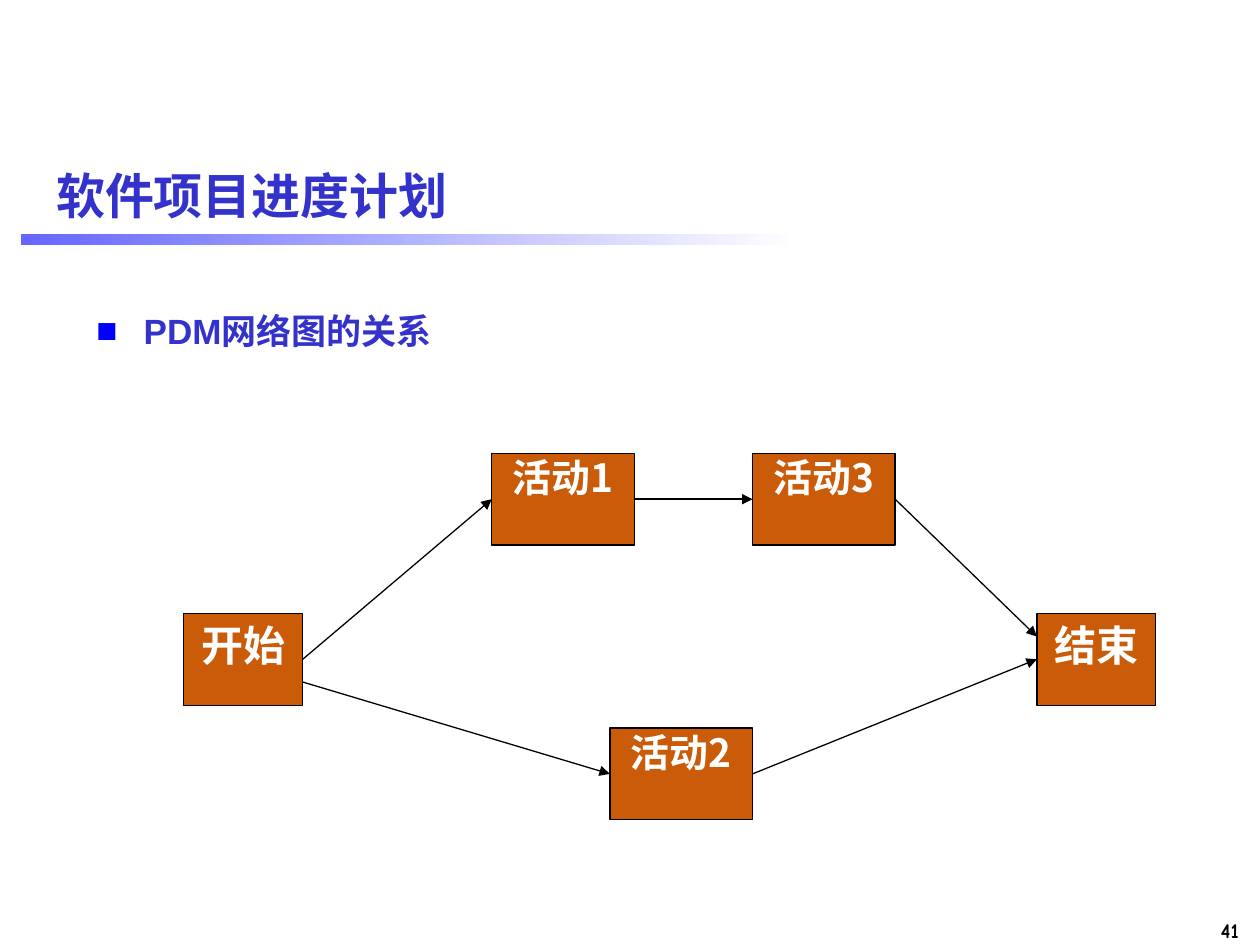
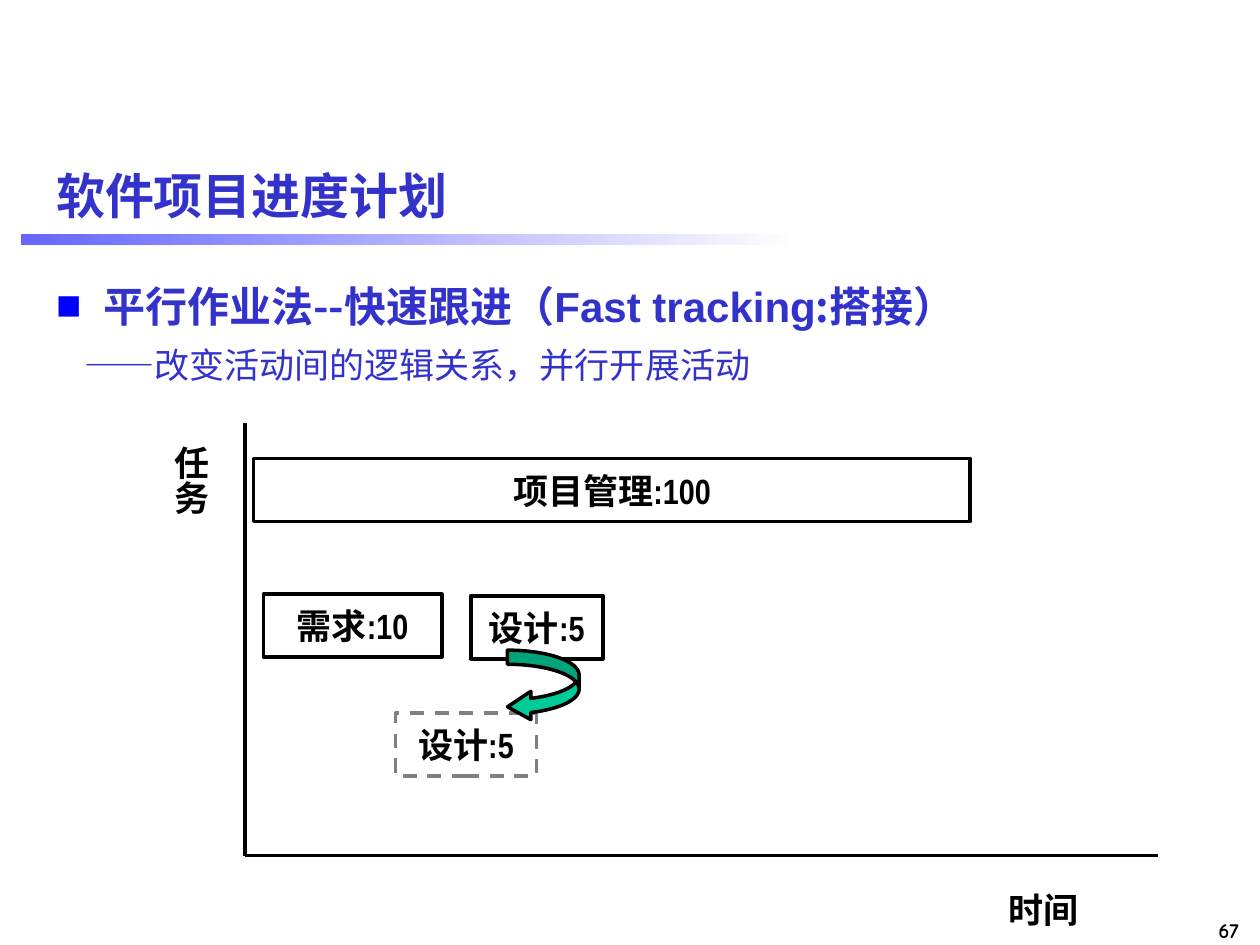
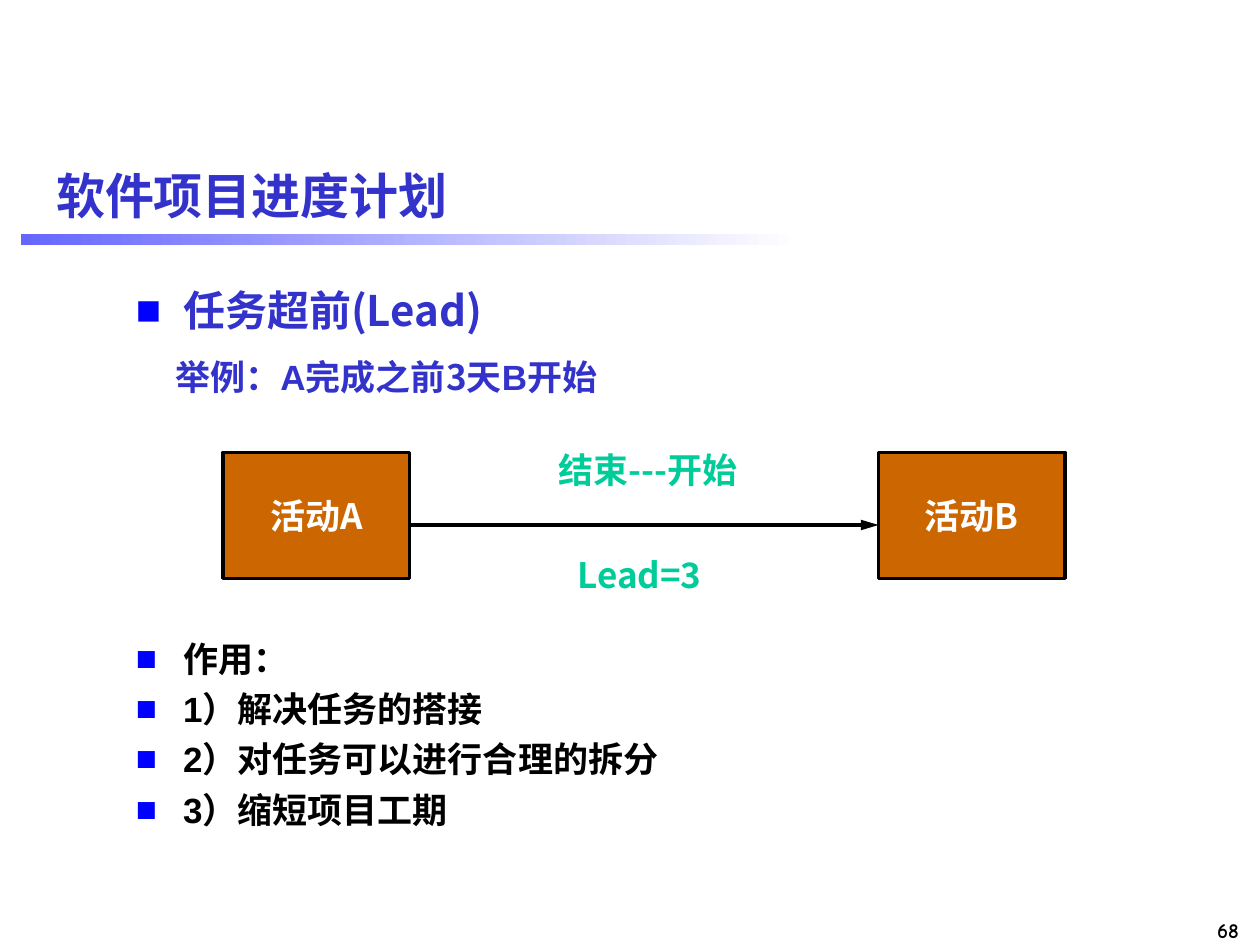
"""Builds three slides on software project scheduling."""
from lxml import etree
from pptx import Presentation
from pptx.dml.color import RGBColor
from pptx.enum import dml, shapes, text
from pptx.oxml import ns
from pptx.util import Pt

BLUE, BULLET_BLUE, BLACK, WHITE, GREEN = "3333CC", "0000FF", "000000", "FFFFFF", "00CC99"
RUST, ORANGE, GREY = "CA5B08", "CC6600", "808080"
CJK, LATIN, NARROW, ROUND = "Noto Sans CJK SC", "Arial", "Arial Narrow", "Comic Neue"
TOP, MIDDLE = text.MSO_ANCHOR.TOP, text.MSO_ANCHOR.MIDDLE
LEFT, CENTER, RIGHT = text.PP_ALIGN.LEFT, text.PP_ALIGN.CENTER, text.PP_ALIGN.RIGHT

TITLE = "软件项目进度计划"
HANGING = 27

PDM_HEADING = [dict(words="PDM网络图的关系", size=20, color=BLUE, bullet=True)]
ACTIVITIES = {
    "开始": dict(at=(105, 350.5, 68, 52.5), size=24),
    "活动1": dict(at=(281, 259, 81.5, 52.5), size=22.2, spacing=0.9),
    "活动3": dict(at=(430, 259, 81.5, 52.5), size=22.2, spacing=0.9),
    "活动2": dict(at=(348.5, 416, 81.5, 52.5), size=22.2, spacing=0.9),
    "结束": dict(at=(592.5, 350.5, 68, 52.5), size=24),
}
DEPENDENCIES = [
    ("开始", "活动2", 13, 0),
    ("开始", "活动1", 0, 0),
    ("活动1", "活动3", 0, 0),
    ("活动2", "结束", 0, 0),
    ("活动3", "结束", 0, -13),
]

TRACKING_HEADING = [
    dict(words=[("平行作业法--快速跟进（", CJK), ("Fast tracking", LATIN), (":搭接）", CJK)],
         size=24, color=BLUE, bullet=True),
    dict(words=[("——", LATIN), ("改变活动间的逻辑关系，并行开展活动", CJK)],
         size=20, color=BLUE, bold=False, before=7.5, indent=16),
]
AXES = [((140, 242), (140, 489)), ((140, 489), (662, 489))]
TASKS = [
    ("项目管理:100", (145, 262, 409.5, 36), BLACK),
    ("需求:10", (150.5, 339.5, 102, 36), BLACK),
    ("设计:5", (269, 340.5, 75.5, 36), BLACK),
    ("设计:5", (226, 407.5, 80.5, 36), GREY),
]
AXIS_LABELS = [("任务", (86.5, 247.5, 38, 155), True), ("时间", (521, 504, 150.5, 32), False)]
SHIFT_ARROW = (290, 371.5, 41, 40.5)

LEAD_HEADING = [
    dict(words="任务超前(Lead)", font=CJK, size=24, color=BLUE, bullet=True),
    dict(words=[("举例：A", LATIN), ("完成之前3天", CJK), ("B", LATIN), ("开始", CJK)],
         size=20, color=BLUE, before=11.8, indent=22.5),
]
EFFECTS = ["作用：", "1）解决任务的搭接", "2）对任务可以进行合理的拆分", "3）缩短项目工期"]
LEAD_BOXES = [("活动A", (127.5, 258.5, 106.5, 72)), ("活动B", (502, 258.5, 106.5, 72))]
LEAD_ARROW = ((234, 300), (502, 300))
LEAD_LABELS = [("结束---开始", (269.5, 252.5, 202, 32)), ("Lead=3", (264.5, 312.5, 202, 32))]


def rgb(code):
    return RGBColor.from_string(code)


def child(parent, tag, **attributes):
    return etree.SubElement(parent, ns.qn(tag), attributes)


def write(paragraph, words, font=LATIN, size=20, color=BLACK, bold=True, align=LEFT,
          before=0, spacing=None, bullet=False, indent=0):
    properties = paragraph._p.get_or_add_pPr()
    margin = HANGING if bullet else indent
    properties.set("marL", str(int(Pt(margin))))
    properties.set("indent", str(int(Pt(-HANGING if bullet else 0))))
    if bullet:
        child(child(properties, "a:buClr"), "a:srgbClr", val=BULLET_BLUE)
        child(properties, "a:buFont", typeface=LATIN)
        child(properties, "a:buChar", char="■")
    paragraph.alignment = align
    if before:
        paragraph.space_before = Pt(before)
    if spacing:
        paragraph.line_spacing = spacing
    for part, typeface in [(words, font)] if isinstance(words, str) else words:
        run = paragraph.add_run()
        run.text = part
        run.font.name, run.font.size, run.font.bold = typeface, Pt(size), bold
        run.font.color.rgb = rgb(color)
        child(run._r.get_or_add_rPr(), "a:ea", typeface=CJK)


def fill_frame(frame, paragraphs, anchor=TOP, wrap=True):
    frame.word_wrap, frame.vertical_anchor = wrap, anchor
    for number, paragraph in enumerate(paragraphs):
        write(frame.add_paragraph() if number else frame.paragraphs[0], **paragraph)


def add_text(slide, at, paragraphs, anchor=TOP):
    box = slide.shapes.add_textbox(*map(Pt, at))
    fill_frame(box.text_frame, paragraphs, anchor)
    return box


def add_block(slide, at, fill=None, line=None, width=2, kind=shapes.MSO_SHAPE.RECTANGLE):
    block = slide.shapes.add_shape(kind, *map(Pt, at))
    block.shadow.inherit = False
    if fill:
        block.fill.solid()
        block.fill.fore_color.rgb = rgb(fill)
    else:
        block.fill.background()
    if line:
        block.line.color.rgb, block.line.width = rgb(line), Pt(width)
    else:
        block.line.fill.background()
    return block


def add_line(slide, start, end, width=2, head=None):
    line = slide.shapes.add_connector(shapes.MSO_CONNECTOR.STRAIGHT, *map(Pt, (*start, *end)))
    line.line.color.rgb, line.line.width = rgb(BLACK), Pt(width)
    if head:
        child(line.line._get_or_add_ln(), "a:tailEnd", type="triangle", w="med", len=head)
    child(line._element.spPr, "a:effectLst")
    return line


def add_base(deck, number):
    slide = deck.slides.add_slide(deck.slide_layouts[6])
    add_text(slide, (649, 521, 66, 22),
             [dict(words=number, font=ROUND, size=12, align=RIGHT)])
    band = add_block(slide, (12, 134, 444, 6), fill=WHITE)
    band.fill.gradient()
    band.fill.gradient_angle = 0
    for stop, color, position in zip(band.fill.gradient_stops, ("6666FF", WHITE), (0, 1)):
        stop.color.rgb, stop.position = rgb(color), position
    add_text(slide, (25, 83, 680, 57), [dict(words=TITLE, size=28, color=BLUE)], MIDDLE)
    return slide


def build_network(deck):
    slide = add_base(deck, "41")
    add_text(slide, (48, 173.5, 658, 366), PDM_HEADING)
    blocks = {}
    for name, style in ACTIVITIES.items():
        look = {key: value for key, value in style.items() if key != "at"}
        blocks[name] = add_block(slide, style["at"], RUST, BLACK, 0.75)
        fill_frame(blocks[name].text_frame,
                   [dict(words=name, font=CJK, color=WHITE, align=CENTER, **look)])
    for source, target, leave, arrive in DEPENDENCIES:
        x, y, w, h = ACTIVITIES[source]["at"]
        to_x, to_y, _, to_h = ACTIVITIES[target]["at"]
        arrow = add_line(slide, (x + w, y + h / 2 + leave),
                         (to_x, to_y + to_h / 2 + arrive), 0.75, "med")
        if not leave:
            arrow.begin_connect(blocks[source], 3)
        if not arrive:
            arrow.end_connect(blocks[target], 1)


def build_tracking(deck):
    slide = add_base(deck, "67")
    add_text(slide, (25, 156.5, 680, 383), TRACKING_HEADING)
    for start, end in AXES:
        add_line(slide, start, end)
    for task, at, outline in TASKS:
        bar = add_block(slide, at, line=outline)
        if outline == GREY:
            bar.line.dash_style = dml.MSO_LINE.DASH
        fill_frame(bar.text_frame, [dict(words=task, font=NARROW, align=CENTER)], MIDDLE, False)
    for label, at, vertical in AXIS_LABELS:
        box = add_text(slide, at, [dict(words=label, font=NARROW, align=CENTER)])
        if vertical:
            frame = box.text_frame
            frame._txBody.bodyPr.set("vert", "eaVert")
            frame.margin_left = frame.margin_right = Pt(3.6)
            frame.margin_top = frame.margin_bottom = Pt(7.2)
    shift = add_block(slide, SHIFT_ARROW, GREEN, BLACK, kind=shapes.MSO_SHAPE.CURVED_LEFT_ARROW)
    for index, share in enumerate((0.2, 0.4, 0.33)):
        shift.adjustments[index] = share


def build_lead(deck):
    slide = add_base(deck, "68")
    add_text(slide, (70.5, 159, 635, 90), LEAD_HEADING)
    add_text(slide, (70.5, 360.5, 635, 135),
             [dict(words=effect, bullet=True, before=4.8 if row else 0)
              for row, effect in enumerate(EFFECTS)])
    for name, at in LEAD_BOXES:
        block = add_block(slide, at, ORANGE, BLACK)
        fill_frame(block.text_frame,
                   [dict(words=name, font=CJK, color=WHITE, align=CENTER)], MIDDLE, False)
    add_line(slide, *LEAD_ARROW, head="lg")
    for label, at in LEAD_LABELS:
        block = add_block(slide, at, WHITE)
        fill_frame(block.text_frame, [dict(words=label, font=CJK, color=GREEN, align=CENTER)])


def main():
    deck = Presentation()
    deck.slide_width, deck.slide_height = Pt(720), Pt(540)
    for build in (build_network, build_tracking, build_lead):
        build(deck)
    deck.save("out.pptx")


if __name__ == "__main__":
    main()
